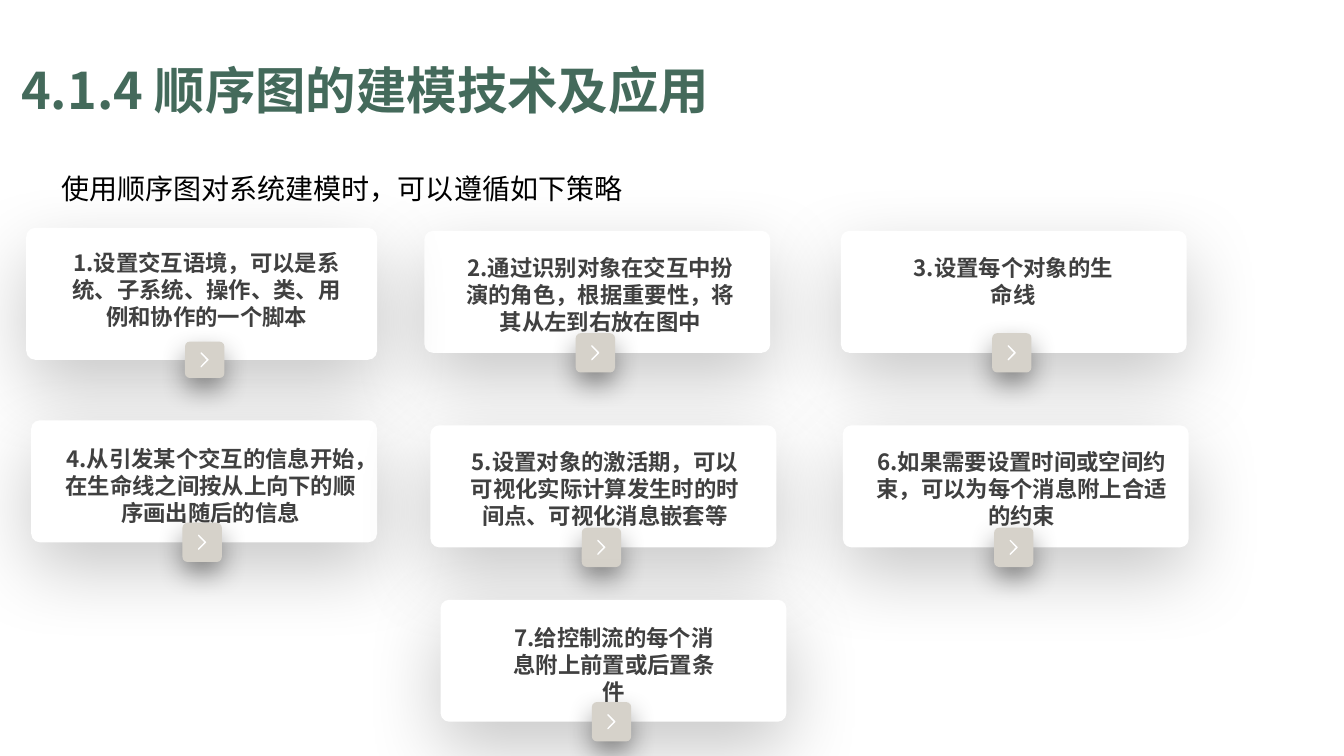
"""Builds the slide on strategies for modelling with sequence diagrams."""
from dataclasses import dataclass

from lxml import etree
from pptx import Presentation
from pptx import util as u
from pptx.dml.color import RGBColor
from pptx.enum import shapes, text
from pptx.oxml import ns

WHITE = RGBColor(0xFF, 0xFF, 0xFF)
BLACK = RGBColor(0x00, 0x00, 0x00)
CHARCOAL = RGBColor(0x40, 0x40, 0x40)
STONE = RGBColor(0xD6, 0xD2, 0xCA)
GREEN = RGBColor(0x44, 0x6A, 0x5B)
FONT = "Noto Sans CJK SC"

SLIDE_WIDTH, SLIDE_HEIGHT = u.Inches(13.33), u.Inches(7.5)
COLUMN = SLIDE_WIDTH / 133.3
ROW = SLIDE_HEIGHT / 75


@dataclass(frozen=True)
class Area:
    """A rectangle in grid columns and rows."""
    col: float
    row: float
    cols: float
    rows: float

    def emu(self) -> tuple[int, int, int, int]:
        """Gives left, top, width and height in EMU."""
        return (round(self.col * COLUMN), round(self.row * ROW),
                round(self.cols * COLUMN), round(self.rows * ROW))


@dataclass(frozen=True)
class Shadow:
    """A shadow falling straight down, in points and percent."""
    blur: float
    distance: float
    opacity: int


@dataclass(frozen=True)
class Strategy:
    """A card with its wording, text inset and badge."""
    wording: str
    col: float
    row: float
    inset: float
    text_cols: float
    text_drop: float = 1.8
    text_rows: float = 9.1
    cols: float = 34.3
    rows: float = 12.1
    badge_shift: float = -0.2
    badge_rows: float = 3.9


CARD_SHADOW = Shadow(55, 19, 22)
BADGE_SHADOW = Shadow(19, 8, 40)
BADGE_COLS = 3.9
CHEVRON_COLS, CHEVRON_ROWS = 0.7, 1.4
CHEVRON = ((0, 0), (1, 0.5), (0, 1), (0, 0.97), (0.9, 0.5), (0, 0.03))

STRATEGIES = (
    Strategy("2.通过识别对象在交互中扮演的角色，根据重要性，将其从左到右放在图中",
             42.1, 22.9, 3, 28.9),
    Strategy("1.设置交互语境，可以是系统、子系统、操作、类、用例和协作的一个脚本",
             2.6, 22.6, 3.4, 29, text_drop=1.6, text_rows=8.5,
             cols=34.8, rows=13.1, badge_shift=0.3, badge_rows=3.6),
    Strategy("3.设置每个对象的生命线", 83.4, 22.9, 5.4, 23.4, text_rows=6.4),
    Strategy("4.从引发某个交互的信息开始，在生命线之间按从上向下的顺序画出随后的信息",
             3.1, 41.7, 2.2, 31.2, text_drop=2),
    Strategy("6.如果需要设置时间或空间约束，可以为每个消息附上合适的约束",
             83.6, 42.2, 1.9, 31.7),
    Strategy("5.设置对象的激活期，可以可视化实际计算发生时的时间点、可视化消息嵌套等",
             42.7, 42.2, 2.6, 29.4),
    Strategy("7.给控制流的每个消息附上前置或后置条件",
             43.7, 59.5, 5.5, 23.4, text_drop=1.9),
)


def add_wording(parent, area: Area, wording: str, size: float, color: RGBColor,
                bold: bool = False, centred: bool = False) -> text.MSO_AUTO_SIZE:
    """Adds a wrapping text box and returns its frame."""
    frame = parent.add_textbox(*area.emu()).text_frame
    frame.word_wrap = True
    frame.auto_size = text.MSO_AUTO_SIZE.SHAPE_TO_FIT_TEXT
    frame.text = wording
    paragraph = frame.paragraphs[0]
    paragraph.alignment = text.PP_ALIGN.CENTER if centred else text.PP_ALIGN.LEFT
    run = paragraph.runs[0]
    run.font.size = u.Pt(size)
    run.font.bold = bold
    run.font.color.rgb = color
    run.font.name = FONT
    latin = run.font._element.find(ns.qn("a:latin"))
    latin.addnext(etree.Element(ns.qn("a:ea"), typeface=FONT))
    return frame


def add_panel(parent, area: Area, corner: float, fill: RGBColor, shadow: Shadow) -> None:
    """Adds a rounded rectangle with a soft shadow."""
    panel = parent.add_shape(shapes.MSO_SHAPE.ROUNDED_RECTANGLE, *area.emu())
    panel.adjustments[0] = corner
    panel.fill.solid()
    panel.fill.fore_color.rgb = fill
    panel.line.fill.background()
    panel.shadow.inherit = False
    effects = panel._element.spPr.find(ns.qn("a:effectLst"))
    outer = etree.SubElement(
        effects, ns.qn("a:outerShdw"), blurRad=str(u.Pt(shadow.blur)),
        dist=str(u.Pt(shadow.distance)), dir="5400000", algn="t", rotWithShape="0")
    tint = etree.SubElement(outer, ns.qn("a:srgbClr"), val=str(BLACK))
    etree.SubElement(tint, ns.qn("a:alpha"), val=str(shadow.opacity * 1000))


def add_chevron(parent, area: Area) -> None:
    """Adds a thin chevron pointing right."""
    left, top, width, height = area.emu()
    start, *rest = [(left + x * width, top + y * height) for x, y in CHEVRON]
    builder = parent.build_freeform(*start)
    builder.add_line_segments(rest, close=True)
    chevron = builder.convert_to_shape()
    chevron.fill.solid()
    chevron.fill.fore_color.rgb = WHITE
    chevron.line.color.rgb = WHITE
    chevron.line.width = u.Pt(0.75)
    chevron.shadow.inherit = False


def add_strategy(slide, card: Strategy) -> None:
    """Adds one grouped card with a badge centred on its lower edge."""
    parts = slide.shapes.add_group_shape().shapes
    middle = card.col + card.cols / 2 + card.badge_shift
    bottom = card.row + card.rows
    add_panel(parts, Area(card.col, card.row, card.cols, card.rows),
              0.07, WHITE, CARD_SHADOW)
    add_wording(parts, Area(card.col + card.inset, card.row + card.text_drop,
                            card.text_cols, card.text_rows),
                card.wording, 16, CHARCOAL, bold=True, centred=True)
    add_panel(parts, Area(middle - BADGE_COLS / 2, bottom - card.badge_rows / 2,
                          BADGE_COLS, card.badge_rows), 0.13, STONE, BADGE_SHADOW)
    add_chevron(parts, Area(middle - CHEVRON_COLS / 2, bottom - CHEVRON_ROWS / 2,
                            CHEVRON_COLS, CHEVRON_ROWS))


def main() -> None:
    """Builds and saves the slide."""
    deck = Presentation()
    deck.slide_width, deck.slide_height = SLIDE_WIDTH, SLIDE_HEIGHT
    slide = deck.slides.add_slide(deck.slide_layouts[6])
    for card in STRATEGIES:
        add_strategy(slide, card)
    title = add_wording(slide.shapes, Area(0, 5.4, 78.1, 7.1),
                        "4.1.4 顺序图的建模技术及应用", 36, GREEN, bold=True)
    title.margin_left = round(2.1 * COLUMN)
    add_wording(slide.shapes, Area(5.1, 16.5, 61.5, 4.4),
                "使用顺序图对系统建模时，可以遵循如下策略", 20, BLACK)
    deck.save("out.pptx")


if __name__ == "__main__":
    main()
